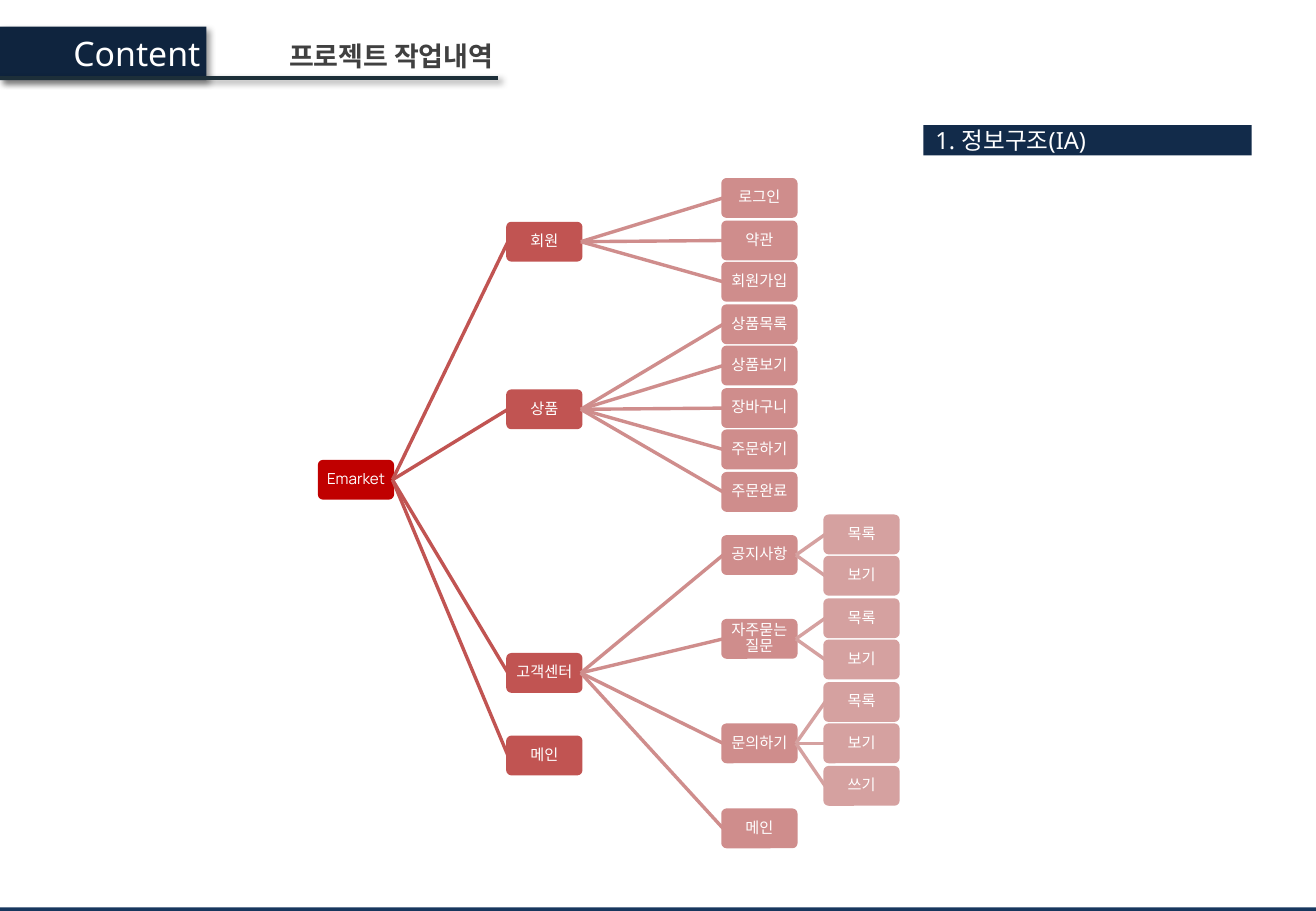
from dataclasses import dataclass, field
from itertools import count
from typing import Iterator

from lxml.etree import SubElement
from pptx import Presentation
from pptx.dml.color import RGBColor
from pptx.enum.shapes import MSO_CONNECTOR, MSO_SHAPE
from pptx.enum.text import MSO_ANCHOR, MSO_AUTO_SIZE, PP_ALIGN
from pptx.oxml.ns import qn
from pptx.shapes.autoshape import Shape
from pptx.shapes.connector import Connector
from pptx.slide import Slide
from pptx.text.text import TextFrame
from pptx.util import Emu, Pt

SCALE = 9144
TOP, STEP = 163, 34.57
WIDE, HIGH = 60, 30
COLS = [263, 418, 595, 679]
TONES = ["root", "branch", "page", "leaf"]
COLORS = {
    "white": "FFFFFF",
    "navy": "0F243E",
    "label": "122B4A",
    "foot": "17375E",
    "rule": "1D2F39",
    "title": "404040",
    "shade": "000000",
    "root": "C00000",
    "branch": "C15452",
    "page": "CF8D8C",
    "leaf": "D5A1A0",
}


@dataclass
class Node:
    name: str
    kids: list["Node"] = field(default_factory=list)
    mid: int = 0


def leaves(*names: str) -> list[Node]:
    return [Node(name) for name in names]


TREE = Node("Emarket", [
    Node("회원", leaves("로그인", "약관", "회원가입"), 199),
    Node("상품", leaves("상품목록", "상품보기", "장바구니", "주문하기", "주문완료"), 337),
    Node("고객센터", [
        Node("공지사항", leaves("목록", "보기")),
        Node("자주묻는질문", leaves("목록", "보기")),
        Node("문의하기", leaves("목록", "보기", "쓰기")),
        Node("메인"),
    ], 554),
    Node("메인", mid=622),
], 395)


def px(size: int) -> Emu:
    return Emu(size * SCALE)


def tint(key: str) -> RGBColor:
    return RGBColor.from_string(COLORS[key])


def cast(item: Shape | Connector) -> None:
    props = item.element.spPr
    found = props.find(qn("a:effectLst"))
    drop = SubElement(found, qn("a:outerShdw"), blurRad=str(Pt(4)),
                      dist=str(Pt(3)), dir="2700000", algn="tl", rotWithShape="0")
    tone = SubElement(drop, qn("a:srgbClr"), val=COLORS["shade"])
    SubElement(tone, qn("a:alpha"), val="40000")


def write(frame: TextFrame, text: str, font: str, size: int, align: PP_ALIGN,
          inset: int, color: str = "white") -> None:
    frame.text = text
    frame.auto_size = MSO_AUTO_SIZE.NONE
    frame.vertical_anchor = MSO_ANCHOR.MIDDLE
    frame.margin_left = frame.margin_right = px(inset)
    frame.margin_top = frame.margin_bottom = px(1)
    para = frame.paragraphs[0]
    para.alignment = align
    para.font.name = font
    para.font.size = Pt(size)
    para.font.color.rgb = tint(color)


def block(slide: Slide, x: int, y: int, w: int, h: int, color: str,
          kind: MSO_SHAPE = MSO_SHAPE.RECTANGLE) -> Shape:
    shape = slide.shapes.add_shape(kind, px(x), px(y), px(w), px(h))
    shape.shadow.inherit = False
    shape.fill.solid()
    shape.fill.fore_color.rgb = tint(color)
    shape.line.fill.background()
    return shape


def stroke(slide: Slide, x: int, y: int, end: int, color: str, width: float) -> Connector:
    line = slide.shapes.add_connector(MSO_CONNECTOR.STRAIGHT, px(x), px(y), px(end), px(y))
    line.line.color.rgb = tint(color)
    line.line.width = Pt(width)
    SubElement(line.element.spPr, qn("a:effectLst"))
    return line


def place(node: Node, rows: Iterator[int]) -> None:
    for kid in node.kids:
        place(kid, rows)
    if node.mid:
        return
    if node.kids:
        node.mid = round((node.kids[0].mid + node.kids[-1].mid) / 2)
    else:
        node.mid = round(TOP + STEP * next(rows))


def draw(slide: Slide, node: Node, level: int = 0) -> Shape:
    tone = TONES[level]
    box = block(slide, COLS[level], node.mid - HIGH // 2, WIDE, HIGH, tone,
                MSO_SHAPE.ROUNDED_RECTANGLE)
    box.adjustments[0] = 0.1
    box.line.color.rgb = tint(tone)
    box.line.width = Pt(2)
    write(box.text_frame, node.name, "Manrope", 9, PP_ALIGN.CENTER, 1)
    box.text_frame.paragraphs[0].line_spacing = 0.9
    for kid in node.kids:
        child = draw(slide, kid, level + 1)
        link = stroke(slide, COLS[level] + WIDE, node.mid, COLS[level + 1],
                      TONES[level + 1], 2)
        link.begin_connect(box, 3)
        link.end_connect(child, 1)
    return box


def main() -> None:
    deck = Presentation()
    deck.slide_width, deck.slide_height = px(1083), px(750)
    slide = deck.slides.add_slide(deck.slide_layouts[5])

    title = slide.shapes.title
    title.left, title.top, title.width, title.height = px(212), px(27), px(204), px(37)
    write(title.text_frame, "프로젝트 작업내역", "Manrope", 16, PP_ALIGN.RIGHT, 10, "title")
    title.text_frame.word_wrap = False
    title.text_frame.paragraphs[0].font.bold = True

    block(slide, 0, 747, 1083, 3, "foot")
    label = block(slide, 760, 103, 270, 25, "label")
    write(label.text_frame, "1. 정보구조(IA)", "Noto Sans", 14, PP_ALIGN.LEFT, 10)

    banner = block(slide, 0, 22, 170, 44, "navy")
    cast(banner)
    write(banner.text_frame, "Content", "Noto Sans", 20, PP_ALIGN.RIGHT, 5)
    cast(stroke(slide, 0, 64, 410, "rule", 2.25))

    place(TREE, count())
    draw(slide, TREE)
    deck.save("out.pptx")


if __name__ == "__main__":
    main()
